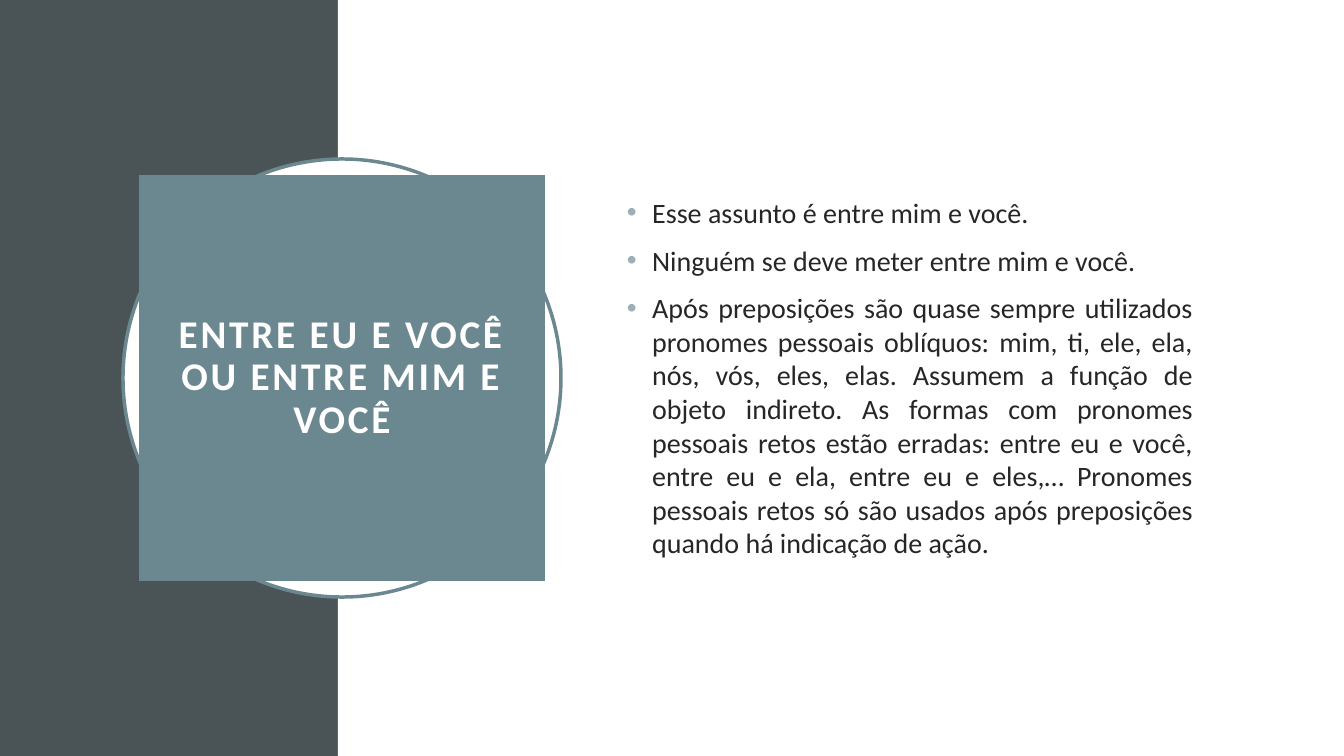
from pptx import Presentation, util as u
from pptx.dml.color import RGBColor
from pptx.enum import shapes, text
from lxml import etree

PX = 914400 / 100.8
SLATE, TEAL, WHITE = "4A5356", "6B8891", "FFFFFF"
MSO, ALIGN = shapes.MSO_SHAPE, text.PP_ALIGN


def rgb(value):
    return RGBColor.from_string(value)


def write(tf, content, size, color, align, bold=False, spacing=1.0,
          before=0, inset=0, tracking=0, bullet=None):
    tf.word_wrap = True
    tf.vertical_anchor = text.MSO_ANCHOR.MIDDLE
    tf.margin_left = tf.margin_right = round(inset * PX)
    for i, line in enumerate(content):
        p = tf.add_paragraph() if i else tf.paragraphs[0]
        p.alignment, p.line_spacing, p.space_before = align, spacing, u.Pt(before)
        r = p.add_run()
        r.text = line
        r.font.name, r.font.size, r.font.bold = "Calibri", u.Pt(size), bold
        r.font.color.rgb = rgb(color)
        if tracking:
            r.font._element.set("spc", str(tracking * 100))
        if bullet:
            pPr = p._p.get_or_add_pPr()
            pPr.set("marL", "228600")
            pPr.set("indent", "-228600")
            ns = pPr.nsmap["a"]
            clr = etree.SubElement(pPr, f"{{{ns}}}buClr")
            etree.SubElement(clr, f"{{{ns}}}srgbClr", val=bullet)
            etree.SubElement(pPr, f"{{{ns}}}buFont", typeface="Arial")
            etree.SubElement(pPr, f"{{{ns}}}buChar", char="•")


prs = Presentation()
prs.slide_width, prs.slide_height = round(1344 * PX), round(756 * PX)
s = prs.slides.add_slide(prs.slide_layouts[6])

# Side band, white page, ring and title panel, from back to front
for kind, box, fill, line in [
    (MSO.RECTANGLE, (0, 0, 338, 756), SLATE, None),
    (MSO.RECTANGLE, (338, 0, 1006, 756), WHITE, None),
    (MSO.OVAL, (123, 159, 438, 438), WHITE, TEAL),
    (MSO.RECTANGLE, (139, 175, 406, 406), TEAL, None),
]:
    sp = s.shapes.add_shape(kind, *(round(v * PX) for v in box))
    sp.shadow.inherit = False
    sp.fill.solid()
    sp.fill.fore_color.rgb = rgb(fill)
    if line:
        sp.line.color.rgb = rgb(line)
        sp.line.width = u.Pt(2.5)
    else:
        sp.line.fill.background()

# Title, in the panel drawn last
write(sp.text_frame, ["ENTRE EU E VOCÊ OU ENTRE MIM E VOCÊ"], 28, WHITE,
      ALIGN.CENTER, bold=True, spacing=0.9, inset=20, tracking=2)

# Bulleted text
body = s.shapes.add_textbox(*(round(v * PX) for v in (617, 154, 586, 447)))
write(body.text_frame, [
    "Esse assunto é entre mim e você.",
    "Ninguém se deve meter entre mim e você.",
    "Após preposições são quase sempre utilizados pronomes pessoais oblíquos: "
    "mim, ti, ele, ela, nós, vós, eles, elas. Assumem a função de objeto indireto. "
    "As formas com pronomes pessoais retos estão erradas: entre eu e você, "
    "entre eu e ela, entre eu e eles,… Pronomes pessoais retos só são usados "
    "após preposições quando há indicação de ação.",
], 20, "262626", ALIGN.JUSTIFY, before=10, inset=10, bullet="9BAFB5")

prs.save("out.pptx")
